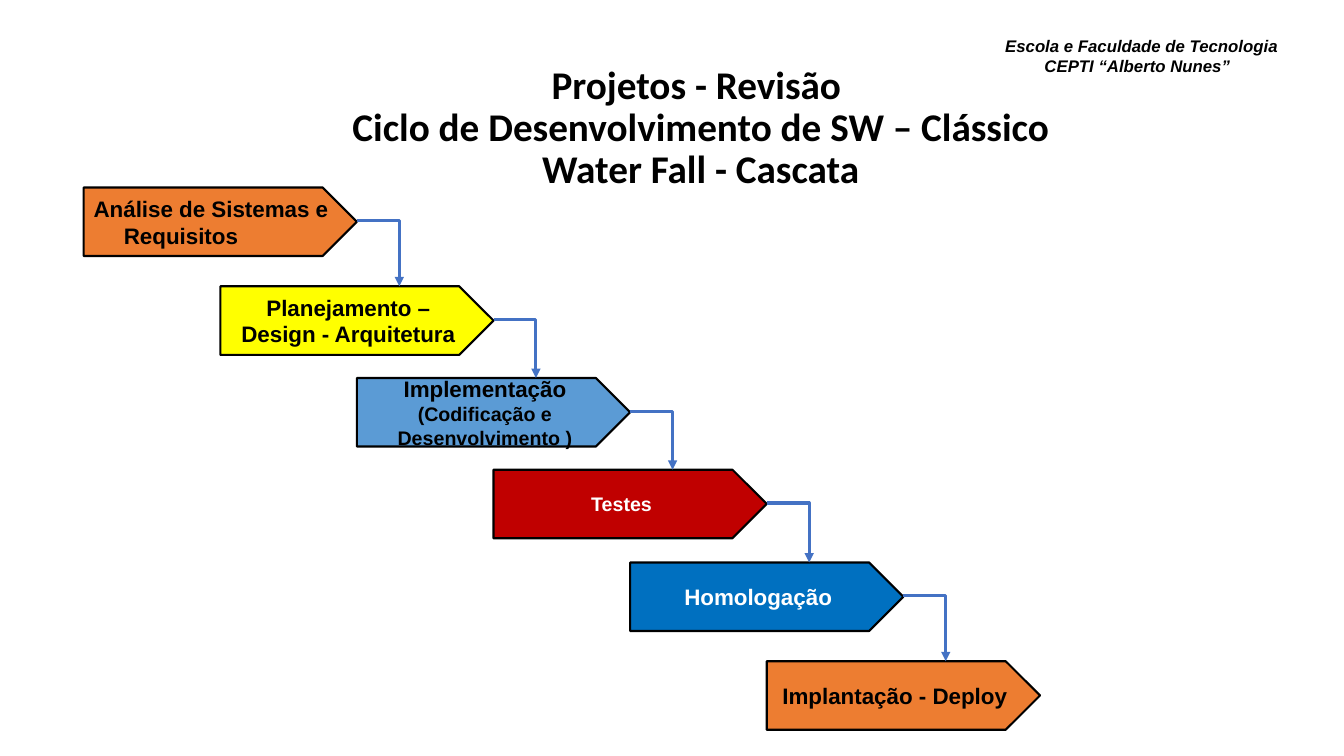
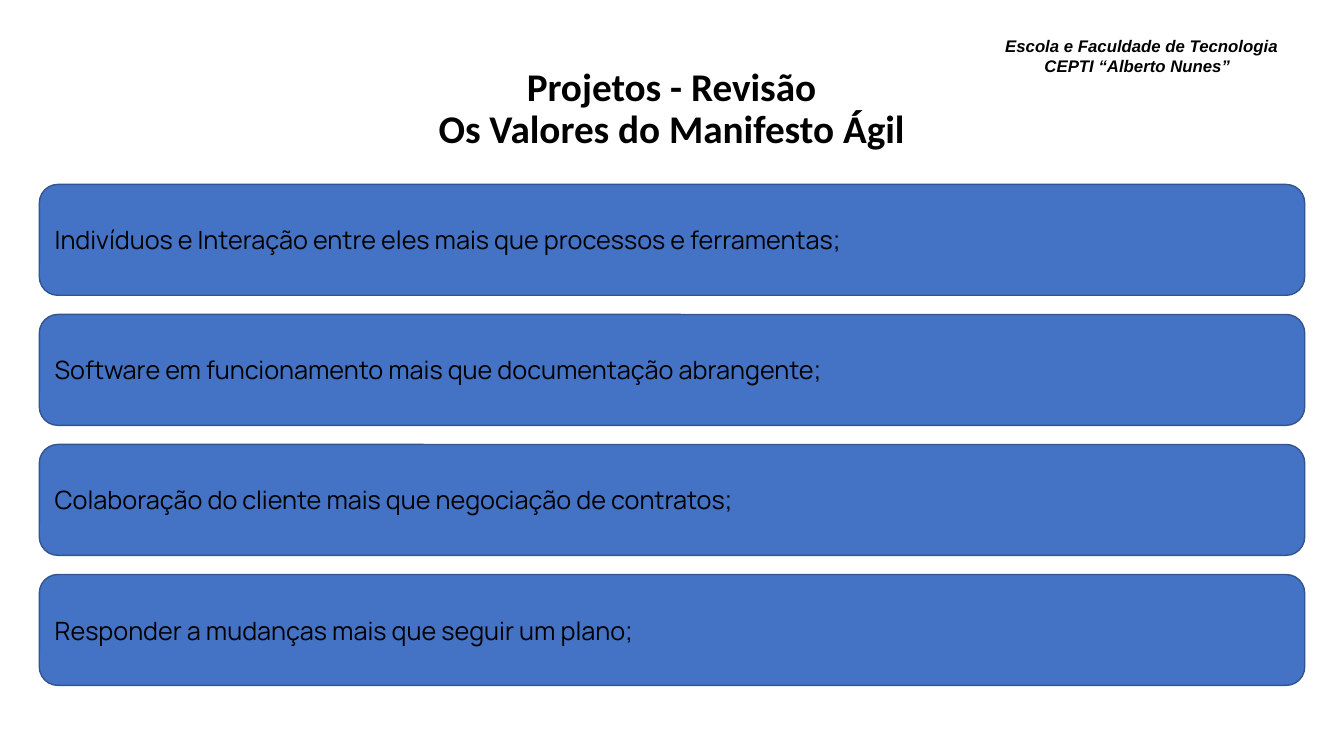
"""Builds two review slides: the waterfall cycle and the values of the Agile Manifesto."""
import lxml.etree
import pptx
import pptx.dml.color
import pptx.enum.shapes
import pptx.enum.text
import pptx.oxml.ns
import pptx.util

Inches = pptx.util.Inches
Pt = pptx.util.Pt
RGBColor = pptx.dml.color.RGBColor
MSO_SHAPE = pptx.enum.shapes.MSO_SHAPE
PP_ALIGN = pptx.enum.text.PP_ALIGN
MSO_ANCHOR = pptx.enum.text.MSO_ANCHOR
qn = pptx.oxml.ns.qn

BLACK = RGBColor(0x00, 0x00, 0x00)
WHITE = RGBColor(0xFF, 0xFF, 0xFF)
ORANGE = RGBColor(0xED, 0x7D, 0x31)
YELLOW = RGBColor(0xFF, 0xFF, 0x00)
LIGHT_BLUE = RGBColor(0x5B, 0x9B, 0xD5)
RED = RGBColor(0xC0, 0x00, 0x00)
STRONG_BLUE = RGBColor(0x00, 0x70, 0xC0)
BLUE = RGBColor(0x44, 0x72, 0xC4)
DARK_BLUE = RGBColor(0x32, 0x54, 0x91)

HEADER = "Escola e Faculdade de Tecnologia CEPTI “Alberto Nunes”"


def write(sp, text, font, size, color=BLACK, bold=True, align=PP_ALIGN.CENTER):
    tf = sp.text_frame
    tf.word_wrap = True
    tf.text = text
    for p in tf.paragraphs:
        p.alignment = align
        for r in p.runs:
            r.font.name = font
            r.font.size = Pt(size)
            r.font.bold = bold
            r.font.color.rgb = color
    return tf


def add_box(s, kind, left, top, width, height, fill, line, line_width):
    sp = s.shapes.add_shape(kind, Inches(left), Inches(top), Inches(width), Inches(height))
    sp.shadow.inherit = False
    sp.fill.solid()
    sp.fill.fore_color.rgb = fill
    sp.line.color.rgb = line
    sp.line.width = Pt(line_width)
    sp.text_frame.vertical_anchor = MSO_ANCHOR.MIDDLE
    return sp


prs = pptx.Presentation()
prs.slide_width = Inches(13.33)
prs.slide_height = Inches(7.5)

titles = [
    (0.78, 0.6, "Projetos - Revisão \nCiclo de Desenvolvimento de SW – Clássico\nWater Fall - Cascata"),
    (0.49, 0.62, "Projetos - Revisão\nOs Valores do Manifesto Ágil"),
]
for left, top, title in titles:
    s = prs.slides.add_slide(prs.slide_layouts[6])
    header = s.shapes.add_textbox(Inches(9.96), Inches(0.35), Inches(2.74), Inches(0.65))
    tf = write(header, HEADER, "Arial", 12, align=PP_ALIGN.LEFT)
    tf.margin_left = tf.margin_top = tf.margin_right = tf.margin_bottom = 0
    p = tf.paragraphs[0]
    p.runs[0].font.italic = True
    pPr = p._p.get_or_add_pPr()
    pPr.set("marL", str(Inches(0.4)))
    pPr.set("indent", str(Inches(-0.39)))

    sp = s.shapes.add_textbox(Inches(left), Inches(top), Inches(12.34), Inches(1.03))
    for p in write(sp, title, "Calibri", 28).paragraphs:
        p.line_spacing = 0.9

waterfall, manifesto = prs.slides

STEP_W, STEP_H, STEP_DX = 2.71, 0.68, 1.355
steps = [
    (1.86, "Análise de Sistemas e\nRequisitos", 16, ORANGE, BLACK),
    (2.84, "Planejamento –\nDesign - Arquitetura", 16, YELLOW, BLACK),
    (3.75, "Implementação\n(Codificação e\nDesenvolvimento )", 14, LIGHT_BLUE, BLACK),
    (4.66, "Testes", 14, RED, WHITE),
    (5.58, "Homologação", 16, STRONG_BLUE, WHITE),
    (6.56, "Implantação - Deploy", 16, ORANGE, BLACK),
]
frames = []
for i, (top, text, size, fill, color) in enumerate(steps):
    sp = add_box(waterfall, MSO_SHAPE.PENTAGON, 0.83 + i * STEP_DX, top, STEP_W, STEP_H, fill, BLACK, 1.5)
    frames.append(write(sp, text, "Arial", size, color))

for p in frames[0].paragraphs:
    p.alignment = PP_ALIGN.LEFT
frames[0].paragraphs[1]._p.get_or_add_pPr().set("marL", str(Inches(0.3)))
frames[2].paragraphs[0].runs[0].font.size = Pt(16)

for i in range(len(steps) - 1):
    tip = 0.83 + i * STEP_DX + STEP_W
    cxn = waterfall.shapes.add_connector(
        pptx.enum.shapes.MSO_CONNECTOR.ELBOW,
        Inches(tip), Inches(steps[i][0] + 0.33), Inches(tip + 0.42), Inches(steps[i + 1][0]))
    cxn.line.color.rgb = BLUE
    cxn.line.width = Pt(2.25)
    spPr = cxn._element.spPr
    spPr.find(qn("a:prstGeom")).set("prst", "bentConnector2")
    lxml.etree.SubElement(spPr.find(qn("a:ln")), qn("a:tailEnd"), type="triangle")
    lxml.etree.SubElement(spPr, qn("a:effectLst"))

values = [
    "Indivíduos e Interação entre eles mais que processos e ferramentas;",
    "Software em funcionamento mais que documentação abrangente;",
    "Colaboração do cliente mais que negociação de contratos;",
    "Responder a mudanças mais que seguir um plano;",
]
for i, text in enumerate(values):
    sp = add_box(manifesto, MSO_SHAPE.ROUNDED_RECTANGLE, 0.39, 1.83 + i * 1.29, 12.55, 1.1, BLUE, DARK_BLUE, 1)
    write(sp, text, "Manrope", 18, bold=False, align=PP_ALIGN.LEFT)

prs.save("out.pptx")
